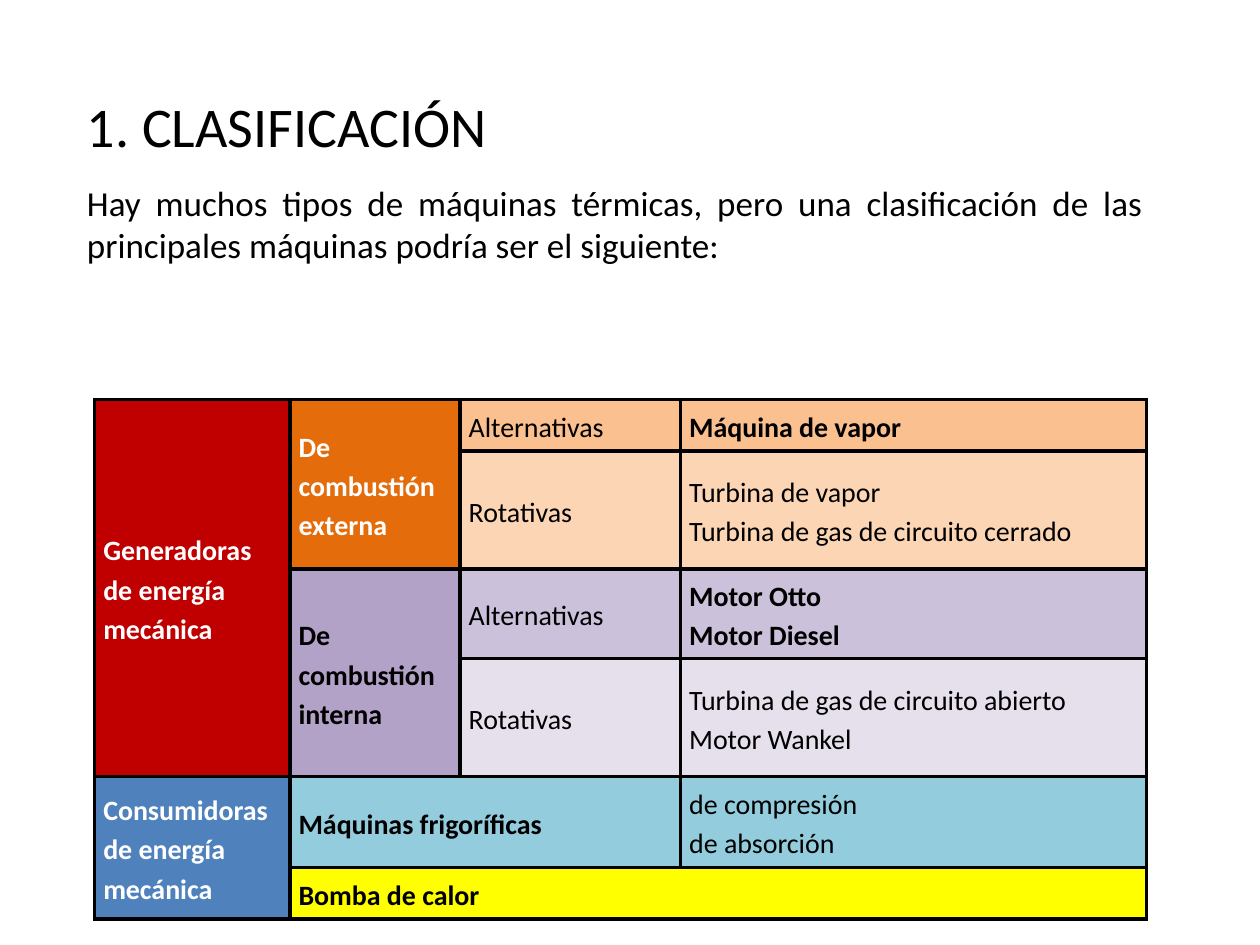
"""Build the slide that classifies thermal machines in a merged table."""
from lxml import etree
from pptx import Presentation
from pptx.dml.color import RGBColor
from pptx.enum.text import MSO_ANCHOR, MSO_AUTO_SIZE, PP_ALIGN
from pptx.oxml.ns import qn
from pptx.util import Inches, Pt

TOP, MIDDLE = MSO_ANCHOR.TOP, MSO_ANCHOR.MIDDLE
LEFT, JUSTIFY = PP_ALIGN.LEFT, PP_ALIGN.JUSTIFY
NO_FIT = MSO_AUTO_SIZE.NONE
FONT = "Calibri"
COLORS = {
    "black": "000000", "white": "FFFFFF", "red": "C00000", "orange": "E46C0A",
    "peach": "FAC090", "light_peach": "FCD5B5", "purple": "B3A2C7",
    "lilac": "CCC1DA", "light_lilac": "E6E0EC", "blue": "4F81BD",
    "aqua": "93CDDD", "yellow": "FFFF00",
}
COLUMNS = [1.55, 1.35, 1.75, 3.7]
ROWS = [0.41, 0.92, 0.71, 0.92, 0.72, 0.41]
CELLS = [
    (0, 0, 4, 1, "Generadoras de energía mecánica", "red", "white", True),
    (0, 1, 2, 1, "De combustión externa", "orange", "white", True),
    (0, 2, 1, 1, "Alternativas", "peach", "black", False),
    (0, 3, 1, 1, "Máquina de vapor", "peach", "black", True),
    (1, 2, 1, 1, "Rotativas", "light_peach", "black", False),
    (1, 3, 1, 1, "Turbina de vapor\nTurbina de gas de circuito cerrado",
     "light_peach", "black", False),
    (2, 1, 2, 1, "De combustión interna", "purple", "black", True),
    (2, 2, 1, 1, "Alternativas", "lilac", "black", False),
    (2, 3, 1, 1, "Motor Otto\nMotor Diesel", "lilac", "black", True),
    (3, 2, 1, 1, "Rotativas", "light_lilac", "black", False),
    (3, 3, 1, 1, "Turbina de gas de circuito abierto\nMotor Wankel",
     "light_lilac", "black", False),
    (4, 0, 2, 1, "Consumidoras de energía mecánica", "blue", "white", True),
    (4, 1, 1, 2, "Máquinas frigoríficas", "aqua", "black", True),
    (4, 3, 1, 1, "de compresión\nde absorción", "aqua", "black", False),
    (5, 1, 1, 3, "Bomba de calor", "yellow", "black", True),
]


def format_text(tf, size, color, bold=False):
    for p in tf.paragraphs:
        for r in p.runs:
            r.font.name = FONT
            r.font.size = Pt(size)
            r.font.bold = bold
            r.font.color.rgb = RGBColor.from_string(COLORS[color])


def add_borders(cell):
    tcPr = cell._tc.get_or_add_tcPr()
    for side in ("lnL", "lnR", "lnT", "lnB"):
        ln = etree.SubElement(tcPr, qn(f"a:{side}"), w=str(Pt(2.25)))
        fill = etree.SubElement(ln, qn("a:solidFill"))
        etree.SubElement(fill, qn("a:srgbClr"), val=COLORS["black"])


prs = Presentation()
prs.slide_width, prs.slide_height = Inches(10), Inches(7.5)
s = prs.slides.add_slide(prs.slide_layouts[1])

texts = [
    (s.shapes.title, (0.59, 0.68, 8.82, 1.18), "1. CLASIFICACIÓN", 32, LEFT),
    (s.placeholders[1], (0.59, 1.39, 8.58, 0.77),
     "Hay muchos tipos de máquinas térmicas, pero una clasificación de las "
     "principales máquinas podría ser el siguiente:", 20, JUSTIFY),
]
for sp, box, text, size, align in texts:
    sp.left, sp.top, sp.width, sp.height = [Inches(v) for v in box]
    tf = sp.text_frame
    tf.text = text
    tf.word_wrap = True
    tf.auto_size = NO_FIT
    tf.vertical_anchor = TOP
    p = tf.paragraphs[0]
    p.alignment = align
    p.space_before = Pt(0)
    pPr = p._p.get_or_add_pPr()
    pPr.set("marL", "0")
    pPr.set("indent", "0")
    etree.SubElement(pPr, qn("a:buNone"))
    format_text(tf, size, "black")

table = s.shapes.add_table(
    len(ROWS), len(COLUMNS), Inches(0.75), Inches(3.17),
    Inches(sum(COLUMNS)), Inches(sum(ROWS))).table
table.first_row = table.horz_banding = False
for column, width in zip(table.columns, COLUMNS):
    column.width = Inches(width)
for row, height in zip(table.rows, ROWS):
    row.height = Inches(height)
for cell in table.iter_cells():
    add_borders(cell)

for row, col, row_span, col_span, text, fill, color, bold in CELLS:
    cell = table.cell(row, col)
    if row_span * col_span > 1:
        cell.merge(table.cell(row + row_span - 1, col + col_span - 1))
    cell.fill.solid()
    cell.fill.fore_color.rgb = RGBColor.from_string(COLORS[fill])
    cell.vertical_anchor = MIDDLE
    cell.margin_left = cell.margin_right = Inches(0.07)
    cell.margin_top = cell.margin_bottom = Inches(0)
    cell.text_frame.text = text
    for p in cell.text_frame.paragraphs:
        p.line_spacing = 1.15
    format_text(cell.text_frame, 16, color, bold)

prs.save("out.pptx")
